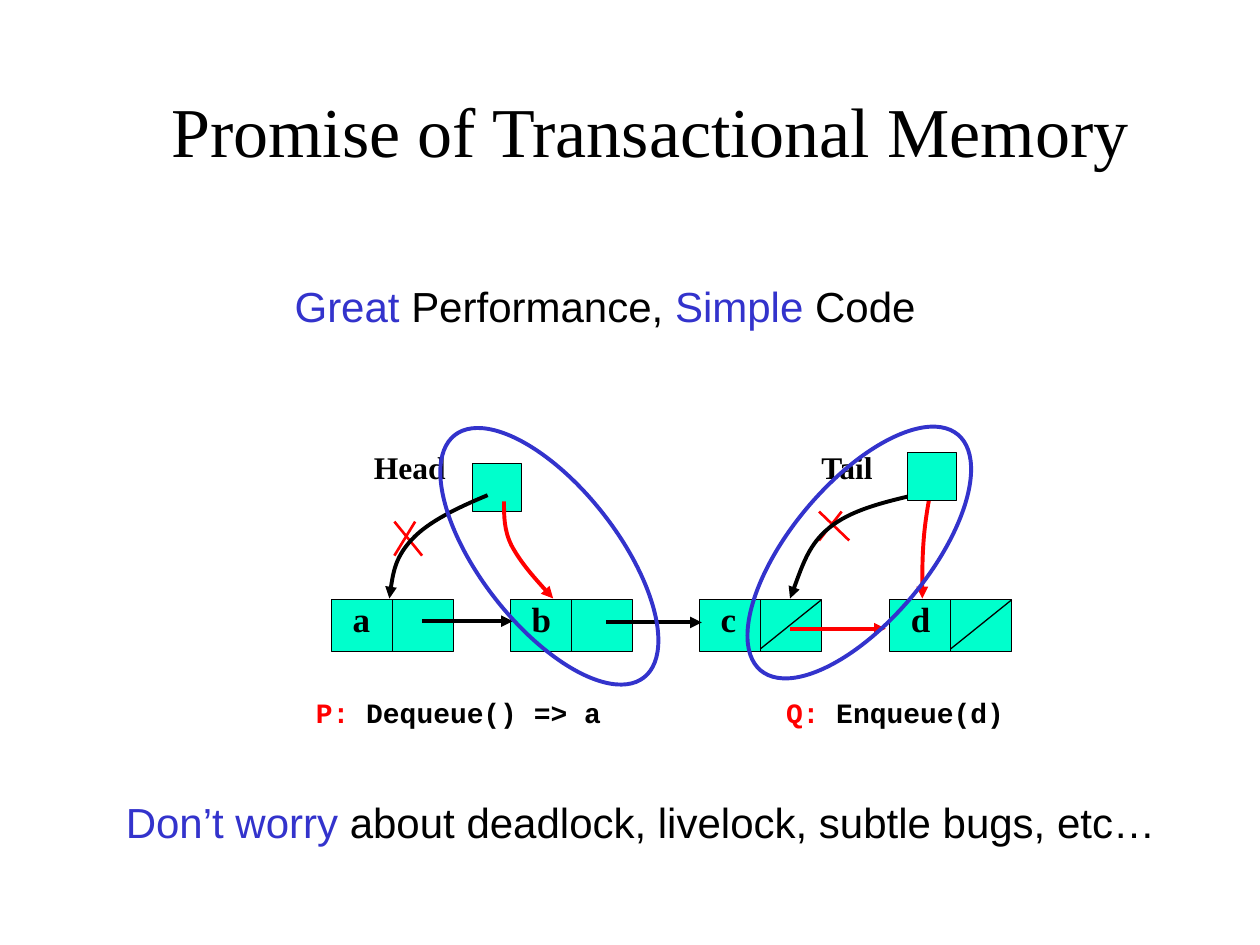
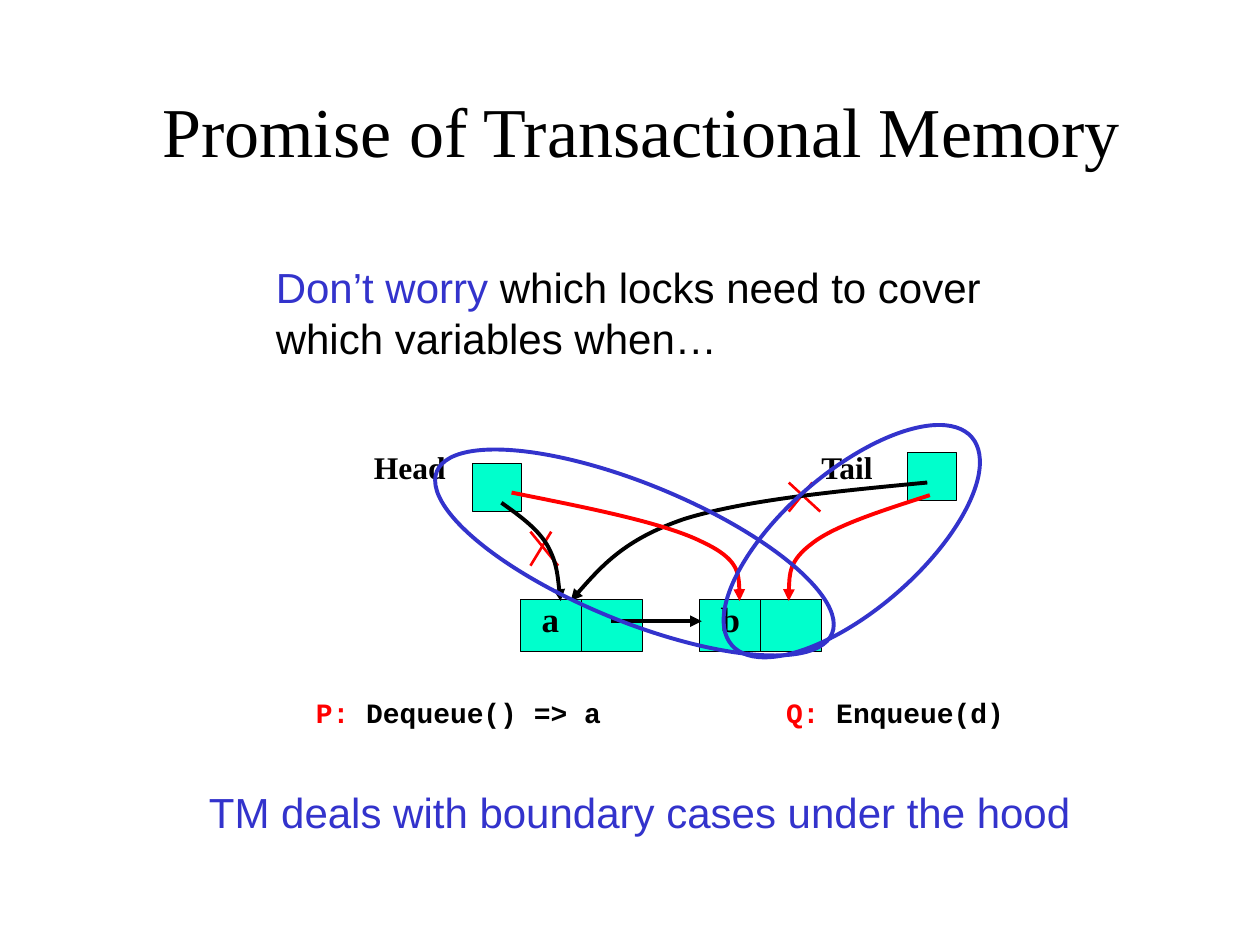
"""Build two slides on transactional memory with linked-queue diagrams."""
import dataclasses

import pptx
import pptx.dml.color
import pptx.enum.shapes
import pptx.enum.text
import pptx.oxml
import pptx.oxml.ns
import pptx.util


@dataclasses.dataclass(frozen=True)
class Theme:
    black: str = "000000"
    red: str = "FF0000"
    blue: str = "3333CC"
    mint: str = "00FFCC"
    serif: str = "Times New Roman"
    sans: str = "Arial"
    mono: str = "Courier New"
    title_size: int = 40
    statement_size: int = 24
    node_size: int = 20
    label_size: int = 18
    code_size: int = 16
    thin: float = 0.75
    medium: float = 1.5
    thick: float = 2.25


THEME = Theme()
COLUMNS, ROWS = 10, 7.5
NODE_TOP, NODE_WIDTH, NODE_HEIGHT = 4.76, 0.97, 0.41
POINTER_WIDTH, POINTER_HEIGHT = 0.39, 0.38
TITLE = "Promise of Transactional Memory"

POINTERS = {"Head": (3.75, 3.68), "Tail": (7.2, 3.59)}
POINTER_LABELS = [("Head", (2.87, 3.51, 0.77, 0.4)), ("Tail", (6.42, 3.51, 0.63, 0.4))]
OPERATIONS = [
    ("P:", " Dequeue() => a", (2.41, 5.47, 2.47, 0.37)),
    ("Q:", " Enqueue(d)", (6.14, 5.47, 1.94, 0.37)),
]

SLIDES = [
    {
        "title_left": 0.83,
        "statements": [
            ((2.24, 2.18, 5.13, 0.5),
             [[("Great", THEME.blue), (" Performance, ", THEME.black),
               ("Simple", THEME.blue), (" Code", THEME.black)]]),
            ((0.9, 6.27, 8.38, 0.5),
             [[("Don’t worry", THEME.blue),
               (" about deadlock, livelock, subtle bugs, etc…", THEME.black)]]),
        ],
        "pointers_below": ["Head"],
        "pointers_above": ["Tail"],
        "nodes": [("a", 2.63, False), ("b", 4.05, False), ("c", 5.55, True), ("d", 7.06, True)],
        "links": [(3.35, 4.07, 4.93, THEME.black), (4.81, 5.57, 4.94, THEME.black),
                  (6.27, 7.03, 4.99, THEME.red)],
        "curves": [
            (THEME.red, [(4, 3.98), (4, 4.1), (4, 4.21), (4.06, 4.33),
                         (4.13, 4.46), (4.26, 4.61), (4.39, 4.75)]),
            (THEME.black, [(3.87, 3.93), (3.63, 4.03), (3.4, 4.14), (3.27, 4.28),
                           (3.14, 4.42), (3.11, 4.59), (3.09, 4.75)]),
            (THEME.red, [(7.38, 3.93), (7.36, 4.04), (7.34, 4.16), (7.33, 4.3),
                         (7.32, 4.44), (7.32, 4.59), (7.32, 4.75)]),
            (THEME.black, [(7.25, 3.93), (7, 3.99), (6.75, 4.05), (6.58, 4.19),
                           (6.42, 4.32), (6.35, 4.54), (6.27, 4.75)]),
        ],
        "crosses": [(3.13, 4.14, 0.22, 0.27), (6.5, 4.06, 0.24, 0.23)],
        "transactions": [((5.6, 3.84, 2.44, 1.09), 309.9), ((3.14, 3.87, 2.44, 1.09), 232)],
    },
    {
        "title_left": 0.76,
        "statements": [
            ((2.09, 2.03, 5.89, 0.9),
             [[("Don’t worry ", THEME.blue), ("which locks need to cover", THEME.black)],
              [("which variables when…", THEME.black)]]),
            ((1.56, 6.19, 7.2, 0.51),
             [[("TM deals with boundary cases under the hood", THEME.blue)]]),
        ],
        "pointers_below": ["Head", "Tail"],
        "pointers_above": [],
        "nodes": [("a", 4.13, False), ("b", 5.55, False)],
        "links": [(4.85, 5.57, 4.93, THEME.black)],
        "curves": [
            (THEME.black, [(3.98, 3.99), (4.12, 4.09), (4.26, 4.19), (4.34, 4.32),
                           (4.42, 4.46), (4.43, 4.61), (4.45, 4.77)]),
            (THEME.red, [(7.38, 3.93), (7.01, 4.05), (6.63, 4.17), (6.45, 4.31),
                         (6.26, 4.45), (6.26, 4.61), (6.26, 4.77)]),
            (THEME.black, [(7.36, 3.83), (6.63, 3.9), (5.91, 3.97), (5.43, 4.12),
                           (4.96, 4.28), (4.74, 4.53), (4.53, 4.77)]),
            (THEME.red, [(4.06, 3.91), (4.66, 4.03), (5.27, 4.15), (5.57, 4.3),
                         (5.87, 4.44), (5.87, 4.61), (5.87, 4.77)]),
        ],
        "crosses": [(4.21, 4.22, 0.22, 0.27), (6.26, 3.83, 0.25, 0.23)],
        "transactions": [((3.34, 3.84, 3.39, 1.09), 22.3), ((5.5, 3.75, 2.52, 1.09), 139.1)],
    },
]


def grid(*lengths):
    return [pptx.util.Inches(length) for length in lengths]


def rgb(color):
    return pptx.dml.color.RGBColor.from_string(color)


def add_text(shapes, lines, area, *, font, size, bold=False, centered=False):
    box = shapes.add_textbox(*grid(*area))
    frame = box.text_frame
    frame.word_wrap = centered
    if centered:
        frame.vertical_anchor = pptx.enum.text.MSO_ANCHOR.MIDDLE
    for index, line in enumerate(lines):
        para = frame.add_paragraph() if index else frame.paragraphs[0]
        if centered:
            para.alignment = pptx.enum.text.PP_ALIGN.CENTER
        for words, color in line:
            span = para.add_run()
            span.text = words
            span.font.name = font
            span.font.size = pptx.util.Pt(size)
            span.font.bold = bold
            span.font.color.rgb = rgb(color)


def style_line(shape, color, width, arrow=False):
    shape.line.color.rgb = rgb(color)
    shape.line.width = pptx.util.Pt(width)
    if arrow:
        stroke = shape.element.spPr.find(pptx.oxml.ns.qn("a:ln"))
        head = stroke.makeelement(pptx.oxml.ns.qn("a:tailEnd"), {"type": "triangle"})
        stroke.append(head)


def add_line(shapes, start, end, color=THEME.black, width=THEME.thin, arrow=False):
    line = shapes.add_connector(pptx.enum.shapes.MSO_CONNECTOR.STRAIGHT, *grid(*start, *end))
    style_line(line, color, width, arrow)
    properties = line.element.spPr
    properties.append(properties.makeelement(pptx.oxml.ns.qn("a:effectLst"), {}))


def add_cell(shapes, area):
    cell = shapes.add_shape(pptx.enum.shapes.MSO_SHAPE.RECTANGLE, *grid(*area))
    cell.shadow.inherit = False
    cell.fill.solid()
    cell.fill.fore_color.rgb = rgb(THEME.mint)
    style_line(cell, THEME.black, THEME.thin)


def add_pointer(shapes, name):
    add_cell(shapes, (*POINTERS[name], POINTER_WIDTH, POINTER_HEIGHT))


def add_node(shapes, letter, left, is_last):
    node = shapes.add_group_shape().shapes
    middle, bottom = left + NODE_WIDTH / 2, NODE_TOP + NODE_HEIGHT
    add_cell(node, (left, NODE_TOP, NODE_WIDTH, NODE_HEIGHT))
    add_line(node, (middle, NODE_TOP), (middle, bottom))
    add_text(node, [[(letter, THEME.black)]], (left + 0.07, NODE_TOP - 0.07, 0.35, 0.43),
             font=THEME.serif, size=THEME.node_size, bold=True)
    if is_last:
        add_line(node, (middle, bottom - 0.02), (left + NODE_WIDTH, NODE_TOP))


def add_curve(shapes, color, points):
    start, *others = [grid(*point) for point in points]
    builder = shapes.build_freeform(*start)
    builder.add_line_segments(others, close=False)
    curve = builder.convert_to_shape()
    curve.shadow.inherit = False
    curve.fill.background()
    style_line(curve, color, THEME.thick, arrow=True)
    outline = next(curve.element.iter(pptx.oxml.ns.qn("a:path")))
    segments = outline.findall(pptx.oxml.ns.qn("a:lnTo"))
    for first in range(0, len(segments), 3):
        bend = outline.makeelement(pptx.oxml.ns.qn("a:cubicBezTo"), {})
        outline.append(bend)
        for segment in segments[first:first + 3]:
            bend.append(segment[0])
            outline.remove(segment)


def add_cross(shapes, left, top, width, height):
    cross = shapes.add_group_shape().shapes
    for start, end in [(0.75 * width, 0), (0, width)]:
        add_line(cross, (left + start, top), (left + end, top + height),
                 THEME.red, THEME.medium)


def add_transaction(shapes, area, angle):
    ring = shapes.add_shape(pptx.enum.shapes.MSO_SHAPE.OVAL, *grid(*area))
    ring.shadow.inherit = False
    ring.fill.background()
    ring.rotation = angle
    style_line(ring, THEME.blue, THEME.thick)


def add_queue(shapes, content):
    for name in content["pointers_below"]:
        add_pointer(shapes, name)
    for node in content["nodes"]:
        add_node(shapes, *node)
    for name, area in POINTER_LABELS:
        add_text(shapes, [[(name, THEME.black)]], area,
                 font=THEME.serif, size=THEME.label_size, bold=True)
    for start, end, height, color in content["links"]:
        add_line(shapes, (start, height), (end, height), color, THEME.thick, arrow=True)
    for cross in content["crosses"]:
        add_cross(shapes, *cross)
    for curve in content["curves"]:
        add_curve(shapes, *curve)
    for name in content["pointers_above"]:
        add_pointer(shapes, name)
    for transaction in content["transactions"]:
        add_transaction(shapes, *transaction)


def add_page(deck, content):
    shapes = deck.slides.add_slide(deck.slide_layouts[6]).shapes
    add_text(shapes, [[(TITLE, THEME.black)]], (content["title_left"], 0.44, 8.66, 1.18),
             font=THEME.serif, size=THEME.title_size, centered=True)
    add_queue(shapes, content)
    for process, call, area in OPERATIONS:
        add_text(shapes, [[(process, THEME.red), (call, THEME.black)]], area,
                 font=THEME.mono, size=THEME.code_size, bold=True)
    for area, lines in content["statements"]:
        add_text(shapes, lines, area, font=THEME.sans, size=THEME.statement_size)


def main():
    deck = pptx.Presentation()
    deck.slide_width, deck.slide_height = grid(COLUMNS, ROWS)
    for content in SLIDES:
        add_page(deck, content)
    deck.save("out.pptx")


if __name__ == "__main__":
    main()
